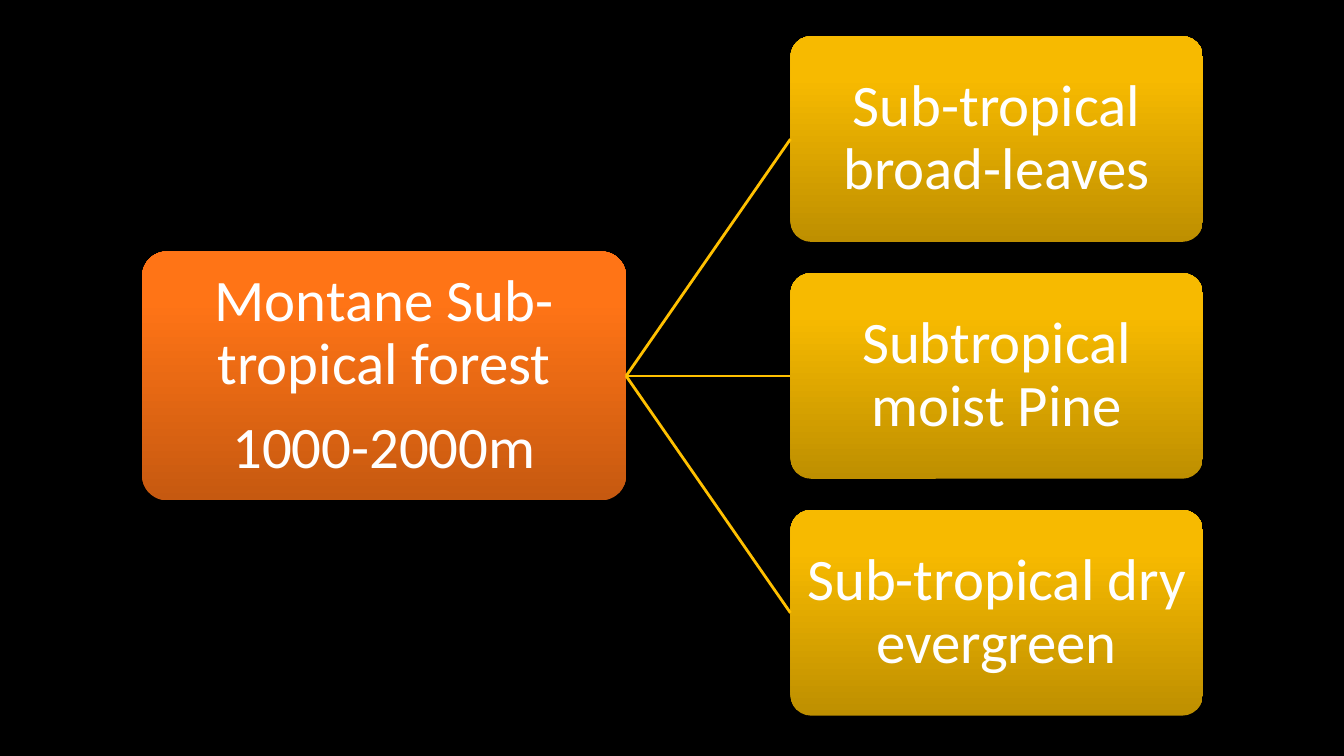
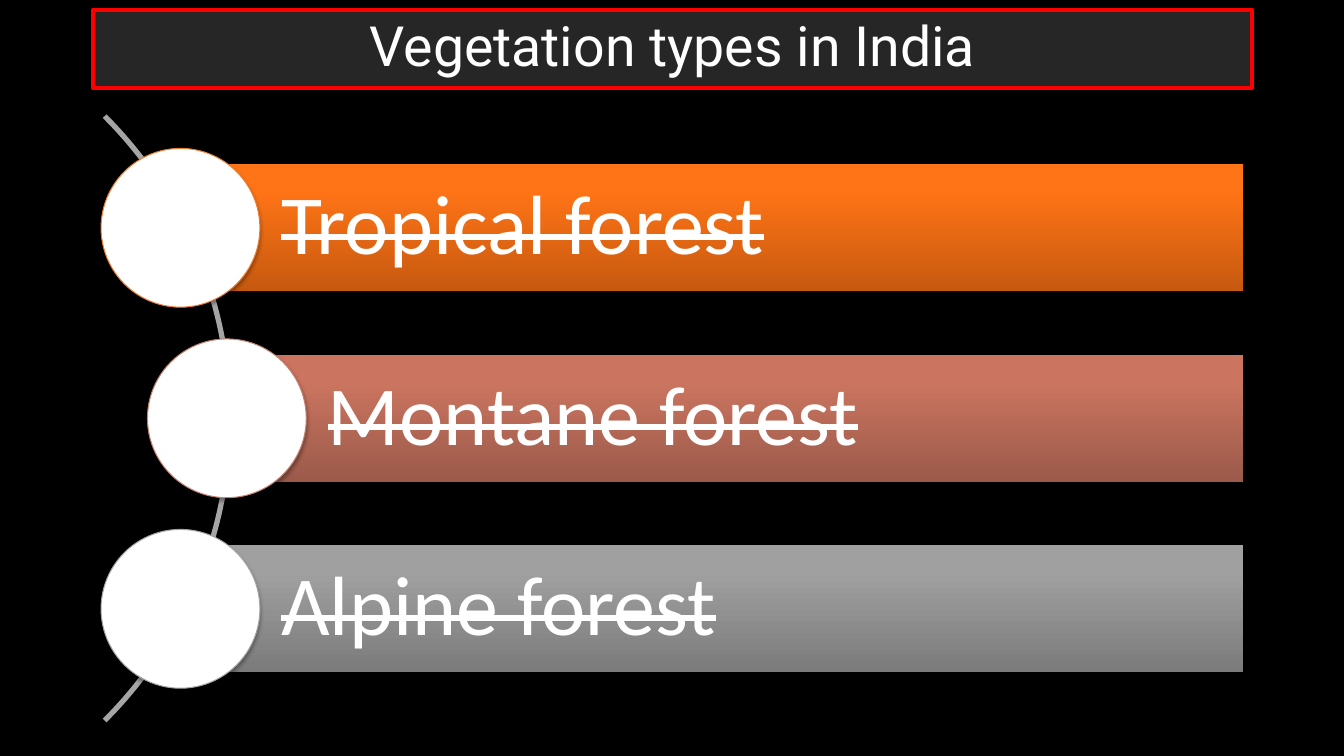
from math import cos, radians, sin

from lxml import etree
from pptx import Presentation
from pptx.dml.color import RGBColor
from pptx.enum.shapes import MSO_CONNECTOR, MSO_SHAPE
from pptx.enum.text import MSO_ANCHOR, PP_ALIGN
from pptx.oxml.ns import qn
from pptx.util import Inches, Pt

LINE = MSO_CONNECTOR.STRAIGHT
ROUND = MSO_SHAPE.ROUNDED_RECTANGLE
RECT = MSO_SHAPE.RECTANGLE
OVAL = MSO_SHAPE.OVAL
MIDDLE = MSO_ANCHOR.MIDDLE
CENTER = PP_ALIGN.CENTER
LEFT = PP_ALIGN.LEFT

HUES = {
    "black": "000000",
    "white": "FFFFFF",
    "panel": "262626",
    "red": "FF0000",
    "gold": "FFC000",
    "orange": "ED7D31",
    "clay": "C48170",
    "grey": "A5A5A5",
}
FADES = {
    "gold": ("BE8F00", "F7BA00"),
    "orange": ("C65910", "FF7416"),
    "clay": ("9C5A4A", "CB7560"),
    "grey": ("7B7B7B", "A0A0A0"),
}
BODY = "Calibri"
HEAD = "Roboto"


def rgb(name):
    return RGBColor.from_string(HUES[name])


def add_page(deck):
    page = deck.slides.add_slide(deck.slide_layouts[6])
    fill = page.background.fill
    fill.solid()
    fill.fore_color.rgb = rgb("black")
    return page


def add_shade(shape):
    effects = shape._element.spPr.find(qn("a:effectLst"))
    shade = etree.SubElement(effects, qn("a:outerShdw"), blurRad=str(Pt(3.1)),
                             dist=str(Pt(1.8)), dir="5400000", rotWithShape="0")
    color = etree.SubElement(shade, qn("a:srgbClr"), val=HUES["black"])
    etree.SubElement(color, qn("a:alpha"), val="35000")


def add_form(page, kind, box, fill=None, fade=None, line=None, width=1):
    shape = page.shapes.add_shape(kind, *map(Inches, box))
    shape.shadow.inherit = False
    if fade:
        shape.fill.gradient()
        shape.fill.gradient_angle = 90
        for stop, spot, tone in zip(shape.fill.gradient_stops, (0, 0.8), FADES[fade]):
            stop.position = spot
            stop.color.rgb = RGBColor.from_string(tone)
    else:
        shape.fill.solid()
        shape.fill.fore_color.rgb = rgb(fill)
    if line:
        shape.line.color.rgb = rgb(line)
        shape.line.width = Pt(width)
    else:
        shape.line.fill.background()
    return shape


def set_text(shape, text, size, font=BODY, align=CENTER, inset=0.09, left=None, struck=False):
    frame = shape.text_frame
    frame.text = text
    frame.word_wrap = True
    frame.vertical_anchor = MIDDLE
    frame.margin_left = Inches(inset if left is None else left)
    frame.margin_right = frame.margin_top = frame.margin_bottom = Inches(inset)
    for rank, para in enumerate(frame.paragraphs):
        para.alignment = align
        para.line_spacing = 0.9
        para.space_before = Pt(14.5 if rank else 0)
        for run in para.runs:
            run.font.name = font
            run.font.size = Pt(size)
            run.font.color.rgb = rgb("white")
            if struck:
                run._r.get_or_add_rPr().set("strike", "sngStrike")


def add_node(page, box, text, fade):
    node = add_form(page, ROUND, box, fade=fade)
    node.adjustments[0] = 0.1
    add_shade(node)
    set_text(node, text, 42)
    return node


def add_link(page, start, end):
    link = page.shapes.add_connector(LINE, 0, 0, 0, 0)
    link.begin_connect(start, 3)
    link.end_connect(end, 1)
    link.line.color.rgb = rgb("gold")
    link.line.width = Pt(2)
    etree.SubElement(link._element.spPr, qn("a:effectLst"))


def add_tree(page, box, root, leaves):
    x, y, w, h = box
    root_w, root_h, leaf_w, leaf_h = 4.8, 2.47, 4.09, 2.04
    step = (h - leaf_h) / (len(leaves) - 1)
    trunk = add_node(page, (x, y + (h - root_h) / 2, root_w, root_h), root, "orange")
    for rank, text in enumerate(leaves):
        place = (x + w - leaf_w, y + rank * step, leaf_w, leaf_h)
        add_link(page, trunk, add_node(page, place, text, "gold"))


def add_arc(page, x, y, radius):
    turns = [radians(turn) for turn in range(-45, 46)]
    dots = [(Inches(x + radius * cos(turn)), Inches(y + radius * sin(turn))) for turn in turns]
    pen = page.shapes.build_freeform(*dots[0])
    pen.add_line_segments(dots[1:], close=False)
    arc = pen.convert_to_shape()
    arc.shadow.inherit = False
    arc.fill.background()
    arc.line.color.rgb = rgb("grey")
    arc.line.width = Pt(3.75)


def add_bar(page, box, text, hue):
    x, y, w, h = box
    bar = add_form(page, RECT, box, fade=hue)
    add_shade(bar)
    set_text(bar, text, 60, align=LEFT, inset=0.17, left=1, struck=True)
    size = h * 1.25
    disc = (x - size / 2, y + (h - size) / 2, size, size)
    add_shade(add_form(page, OVAL, disc, fill="white", line=hue, width=0.75))


def add_list(page, box, items):
    x, y, w, h = box
    bar_h = 1.26
    step = (h - bar_h) / (len(items) - 1)
    add_arc(page, x - 3.75, y + h / 2, 4.24)
    for rank, (text, hue) in enumerate(items):
        shift = 0.46 * (rank % 2)
        add_bar(page, (x + shift, y + rank * step, w - shift, bar_h), text, hue)


def add_title(page, box, text):
    title = add_form(page, RECT, box, fill="panel", line="red", width=3)
    set_text(title, text, 39.6, font=HEAD, inset=0.05)


def main():
    deck = Presentation()
    deck.slide_width = Inches(13.33)
    deck.slide_height = Inches(7.5)

    page = add_page(deck)
    add_tree(page, (1.41, 0.36, 10.52, 6.74),
             "Montane Sub-tropical forest\n1000-2000m",
             ["Sub-tropical broad-leaves", "Subtropical moist Pine", "Sub-tropical dry evergreen"])

    page = add_page(deck)
    add_list(page, (1.79, 1.63, 10.54, 5.04),
             [("Tropical forest", "orange"), ("Montane forest", "clay"), ("Alpine forest", "grey")])
    add_title(page, (0.92, 0.1, 11.5, 0.77), "Vegetation types in India")

    deck.save("out.pptx")


if __name__ == "__main__":
    main()
